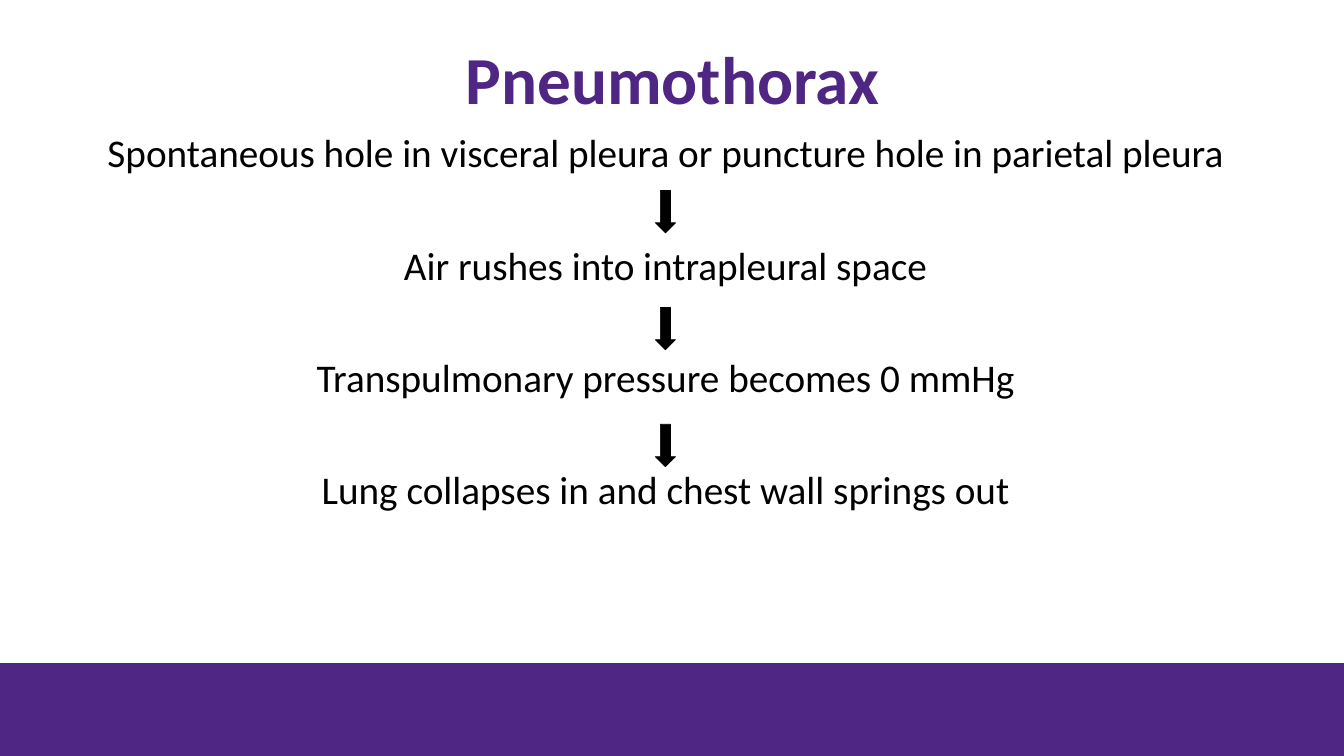
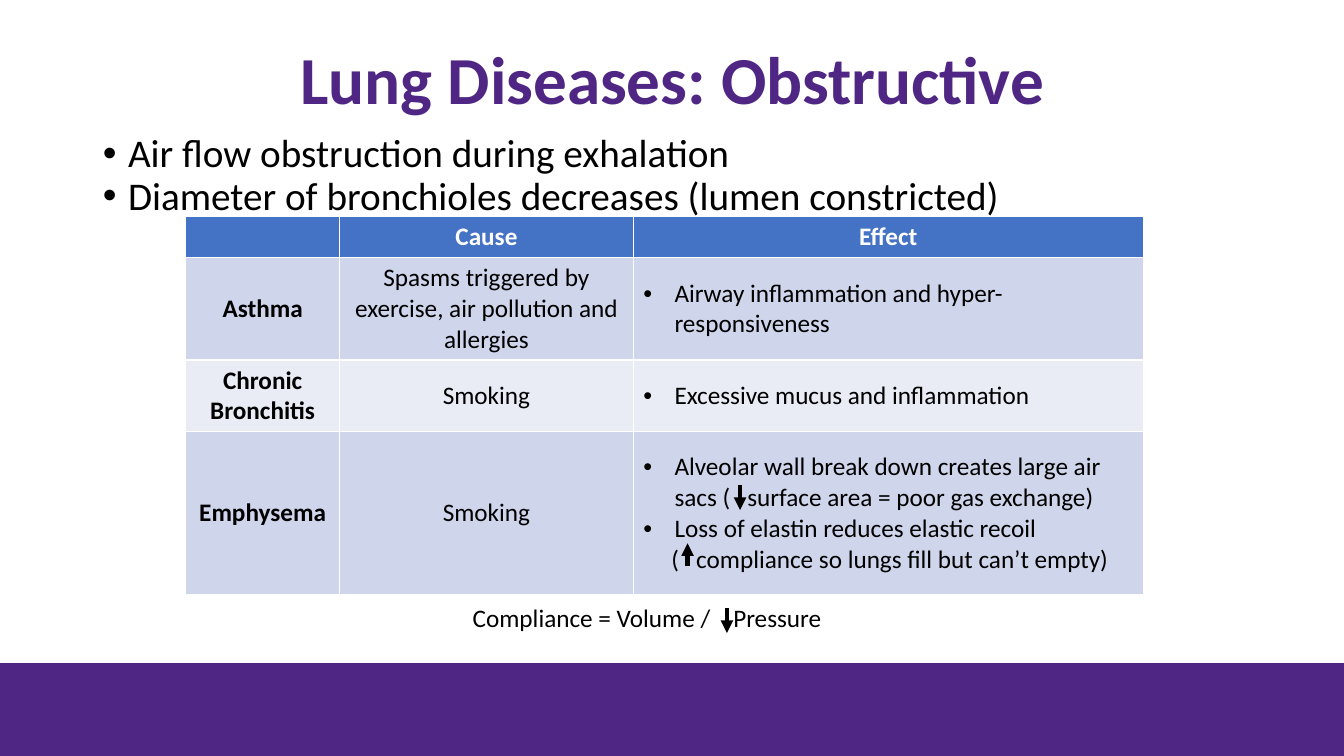
"""Build two lecture slides on pneumothorax and obstructive lung diseases."""
import pptx
import pptx.dml.color
import pptx.enum.shapes
import pptx.enum.text
import pptx.oxml.ns
import pptx.util
from lxml import etree

Inches = pptx.util.Inches
Pt = pptx.util.Pt
qn = pptx.oxml.ns.qn
RGB = pptx.dml.color.RGBColor.from_string
ALIGN = pptx.enum.text.PP_ALIGN
MIDDLE = pptx.enum.text.MSO_ANCHOR.MIDDLE
SHAPE = pptx.enum.shapes.MSO_SHAPE

COLORS = {
    "purple": "4F2683", "black": "000000", "white": "FFFFFF",
    "header": "4472C4", "band_dark": "CFD5EA", "band_light": "E9EBF5",
}
ARROW_GAP = 12.2


def write(frame, text, size=18, color="black", bold=False, align=ALIGN.LEFT,
          bullet=False, indent=0, spacing=1.0, before=0):
    """Add a paragraph; each | widens the gap after the character before it."""
    paragraph = frame.paragraphs[0]
    if paragraph.runs:
        paragraph = frame.add_paragraph()
    paragraph.alignment = align
    paragraph.line_spacing = spacing
    paragraph.space_before = Pt(before)
    properties = paragraph._p.get_or_add_pPr()
    properties.set("marL", str(Inches(indent)))
    properties.set("indent", str(Inches(-indent if bullet else 0)))
    if bullet:
        etree.SubElement(properties, qn("a:buFont")).set("typeface", "Arial")
        etree.SubElement(properties, qn("a:buChar")).set("char", "•")
    else:
        etree.SubElement(properties, qn("a:buNone"))
    *spaced, rest = text.split("|")
    pieces = [(rest, 0)]
    for part in reversed(spaced):
        pieces = [(part[:-1], 0), (part[-1], ARROW_GAP)] + pieces
    for piece, gap in pieces:
        if not piece:
            continue
        run = paragraph.add_run()
        run.text = piece
        run.font.name = "Calibri"
        run.font.size = Pt(size)
        run.font.bold = bold
        run.font.color.rgb = RGB(COLORS[color])
        if gap:
            run._r.get_or_add_rPr().set("spc", str(round(gap * 100)))


def add_filled(slide, kind, left, top, width, height, color):
    """Add a plain shape in one colour."""
    shape = slide.shapes.add_shape(
        kind, Inches(left), Inches(top), Inches(width), Inches(height))
    shape.shadow.inherit = False
    shape.fill.solid()
    shape.fill.fore_color.rgb = RGB(COLORS[color])
    shape.line.color.rgb = RGB(COLORS[color])
    shape.line.width = Pt(0.5)


prs = pptx.Presentation()
prs.slide_width = Inches(13.33)
prs.slide_height = Inches(7.5)

slides = []
for heading, body_left, body_width in [
    ("Pneumothorax", 0.67, 11.86),
    ("Lung Diseases: Obstructive", 0.92, 11.5),
]:
    slide = prs.slides.add_slide(prs.slide_layouts[1])
    title, body = slide.shapes.title, slide.placeholders[1]
    title.left, title.top = Inches(0.92), Inches(0.22)
    title.width, title.height = Inches(11.5), Inches(1.2)
    body.left, body.top = Inches(body_left), Inches(1.28)
    body.width, body.height = Inches(body_width), Inches(4.83)
    for holder in (title, body):
        holder.text_frame.auto_size = pptx.enum.text.MSO_AUTO_SIZE.NONE
    title.text_frame.vertical_anchor = MIDDLE
    write(title.text_frame, heading, size=48, color="purple", bold=True,
          align=ALIGN.CENTER, spacing=0.9)
    add_filled(slide, SHAPE.RECTANGLE, 0, 6.58, 13.33, 0.92, "purple")
    slides.append(slide)
pneumothorax, obstructive = slides

steps = [
    "Spontaneous hole in visceral pleura or puncture hole in parietal pleura",
    "Air rushes into intrapleural space",
    "Transpulmonary pressure becomes 0 mmHg",
    "Lung collapses in and chest wall springs out",
]
for number, step in enumerate(steps):
    write(pneumothorax.placeholders[1].text_frame, step, size=28,
          align=ALIGN.CENTER, spacing=0.9, before=50 if number else 0)
    if number:
        add_filled(pneumothorax, SHAPE.DOWN_ARROW,
                   6.5, 1.89 + 1.16 * (number - 1), 0.2, 0.42, "black")

for feature in ["Air flow obstruction during exhalation",
                "Diameter of bronchioles decreases (lumen constricted)"]:
    write(obstructive.placeholders[1].text_frame, feature, size=28,
          bullet=True, indent=0.25, spacing=0.9)

diseases = [
    ("Asthma", "Spasms triggered by exercise, air pollution and allergies",
     ["Airway inflammation and hyper-responsiveness"]),
    ("Chronic Bronchitis", "Smoking", ["Excessive mucus and inflammation"]),
    ("Emphysema", "Smoking",
     ["Alveolar wall break down creates large air sacs "
      "(|surface area = poor gas exchange)",
      "Loss of elastin reduces elastic recoil",
      "(|compliance so lungs fill but can’t empty)"]),
]
comparison = obstructive.shapes.add_table(
    4, 3, Inches(1.84), Inches(2.15), Inches(9.5), Inches(3.62)).table
for column, width in zip(comparison.columns, [1.53, 2.91, 5.06]):
    column.width = Inches(width)
for row, height in zip(comparison.rows, [0.4, 1, 0.7, 1.62]):
    row.height = Inches(height)
row_fills = ["header", "band_dark", "band_light", "band_dark"]
for row, row_fill in zip(comparison.rows, row_fills):
    for cell in row.cells:
        cell.vertical_anchor = MIDDLE
        cell.fill.solid()
        cell.fill.fore_color.rgb = RGB(COLORS[row_fill])
for column, label in [(1, "Cause"), (2, "Effect")]:
    write(comparison.cell(0, column).text_frame, label, color="white",
          bold=True, align=ALIGN.CENTER)
for row, (disease, cause, effects) in enumerate(diseases, 1):
    write(comparison.cell(row, 0).text_frame, disease, bold=True,
          align=ALIGN.CENTER)
    write(comparison.cell(row, 1).text_frame, cause, align=ALIGN.CENTER)
    for effect in effects:
        continued = effect.startswith("(")
        write(comparison.cell(row, 2).text_frame, effect,
              bullet=not continued, indent=0.28 if continued else 0.31)

formula = obstructive.shapes.add_textbox(
    Inches(4.59), Inches(5.93), Inches(3.7), Inches(0.4))
formula.text_frame.word_wrap = True
write(formula.text_frame, "Compliance = Volume / |Pressure")

for x, start, end in [(7.34, 4.81, 5.06), (6.82, 5.62, 5.39),
                      (7.21, 6.03, 6.28)]:
    change = obstructive.shapes.add_connector(
        pptx.enum.shapes.MSO_CONNECTOR.STRAIGHT,
        Inches(x), Inches(start), Inches(x), Inches(end))
    change.line.color.rgb = RGB(COLORS["black"])
    change.line.width = Pt(3)
    outline = change.line._get_or_add_ln()
    etree.SubElement(outline, qn("a:tailEnd")).set("type", "triangle")
    etree.SubElement(change._element.spPr, qn("a:effectLst"))

prs.save("out.pptx")
